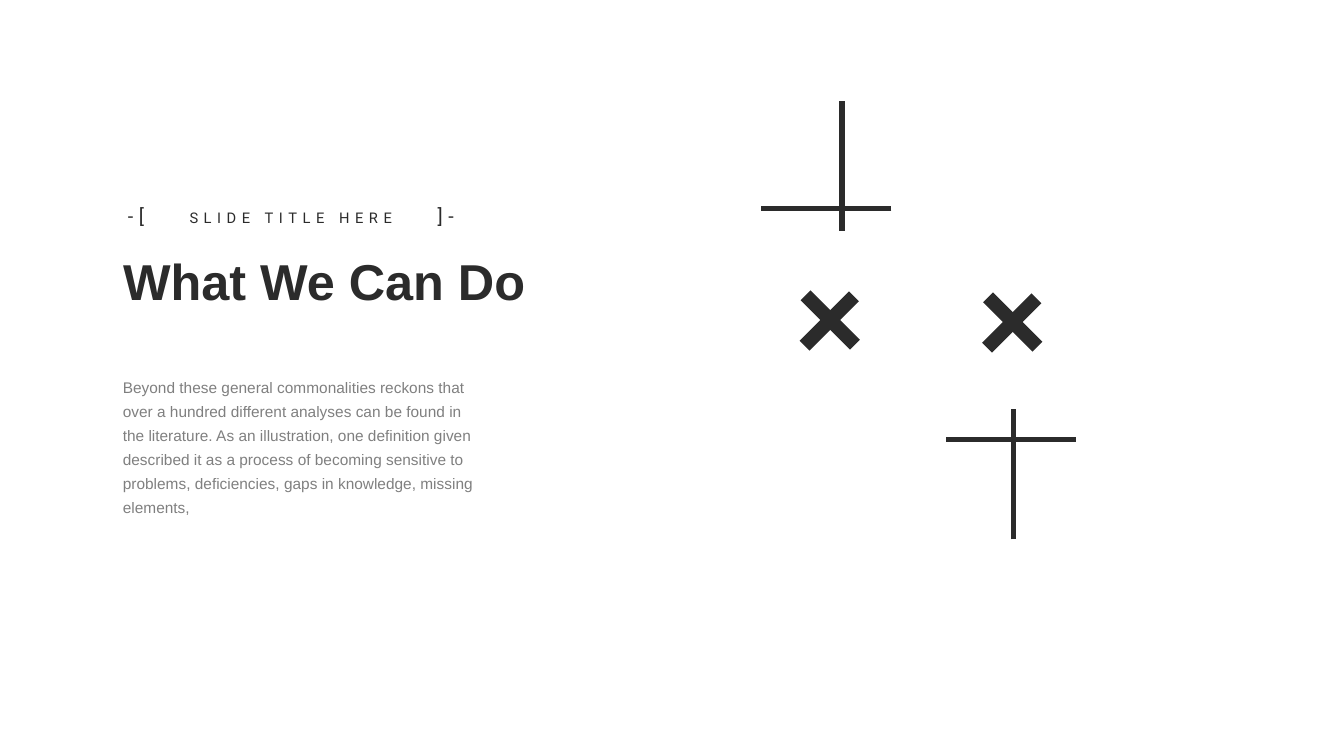
import dataclasses
import pptx
import pptx.util
import pptx.dml.color
import pptx.enum.shapes
import pptx.enum.text
import pptx.oxml.ns
import lxml.etree
from pptx.util import Inches


@dataclasses.dataclass(frozen=True)
class Theme:
    ink: str = "2B2B2B"
    paper: str = "FFFFFF"
    head: str = "Arial"
    label: str = "Roboto"
    title: float = 36
    body: float = 11
    tag: float = 10.5
    hook: float = 14
    thin: float = 4
    thick: float = 10


THEME = Theme()
BAR = 1.29
ARM = 0.49
LEFT = 1.12
BODY = (
    "Beyond these general commonalities reckons that over a hundred different "
    "analyses can be found in the literature. As an illustration, one definition "
    "given described it as a process of becoming sensitive to problems, "
    "deficiencies, gaps in knowledge, missing elements,"
)


def color(code):
    return pptx.dml.color.RGBColor.from_string(code)


def add_line(slide, start, end, width):
    line = slide.shapes.add_connector(
        pptx.enum.shapes.MSO_CONNECTOR.STRAIGHT,
        *[Inches(value) for value in (*start, *end)])
    line.line.color.rgb = color(THEME.ink)
    line.line.width = pptx.util.Pt(width)
    lxml.etree.SubElement(line._element.spPr, pptx.oxml.ns.qn("a:effectLst"))


def add_plus(slide, left, row, top, column):
    add_line(slide, (left + BAR, row), (left, row), THEME.thin)
    add_line(slide, (column, top + BAR), (column, top), THEME.thin)


def add_cross(slide, left, top):
    add_line(slide, (left + ARM, top + 0.01), (left, top + ARM + 0.01), THEME.thick)
    add_line(slide, (left + ARM + 0.01, top + ARM), (left + 0.01, top), THEME.thick)


def write(shape, text, font, size, bold=False, wrap=True):
    frame = shape.text_frame
    frame.text = text
    frame.word_wrap = wrap
    frame.auto_size = pptx.enum.text.MSO_AUTO_SIZE.SHAPE_TO_FIT_TEXT
    frame.vertical_anchor = pptx.enum.text.MSO_ANCHOR.TOP
    para = frame.paragraphs[0]
    para.alignment = pptx.enum.text.PP_ALIGN.LEFT
    para.font.name = font
    para.font.size = pptx.util.Pt(size)
    para.font.bold = bold
    para.font.color.rgb = color(THEME.ink)
    return para


def add_box(slide, left, top, width, height):
    return slide.shapes.add_textbox(
        Inches(left), Inches(top), Inches(width), Inches(height))


def add_label(slide, place, text, size):
    para = write(add_box(slide, *place), text, THEME.label, size, wrap=False)
    para.alignment = pptx.enum.text.PP_ALIGN.CENTER
    para.runs[0]._r.get_or_add_rPr().set("spc", "400")


def add_title(slide, text):
    title = slide.shapes.title
    title.left, title.top = Inches(LEFT), Inches(2.43)
    title.width, title.height = Inches(5.52), Inches(0.71)
    write(title, text, THEME.head, THEME.title, bold=True)


def add_body(slide, text):
    box = add_box(slide, LEFT, 3.65, 3.7, 1.54)
    para = write(box, text, THEME.head, THEME.body)
    para.line_spacing = 1.3
    tint = para._p.pPr.find(".//" + pptx.oxml.ns.qn("a:srgbClr"))
    lxml.etree.SubElement(tint, pptx.oxml.ns.qn("a:alpha"), val="60000")


def main():
    deck = pptx.Presentation()
    deck.slide_width, deck.slide_height = Inches(13.33), Inches(7.5)
    slide = deck.slides.add_slide(deck.slide_layouts[5])
    slide.background.fill.solid()
    slide.background.fill.fore_color.rgb = color(THEME.paper)

    add_plus(slide, left=7.55, row=2.07, top=1, column=8.35)
    add_plus(slide, left=9.38, row=4.36, top=4.06, column=10.05)
    add_cross(slide, 7.98, 2.93)
    add_cross(slide, 9.79, 2.95)

    add_label(slide, (1.74, 2.02, 2.29, 0.29), "SLIDE TITLE HERE", THEME.tag)
    for left, text in ((LEFT, "-["), (4.19, "]-")):
        add_label(slide, (left, 1.97, 0.46, 0.34), text, THEME.hook)
    add_title(slide, "What We Can Do")
    add_body(slide, BODY)
    deck.save("out.pptx")


if __name__ == "__main__":
    main()
